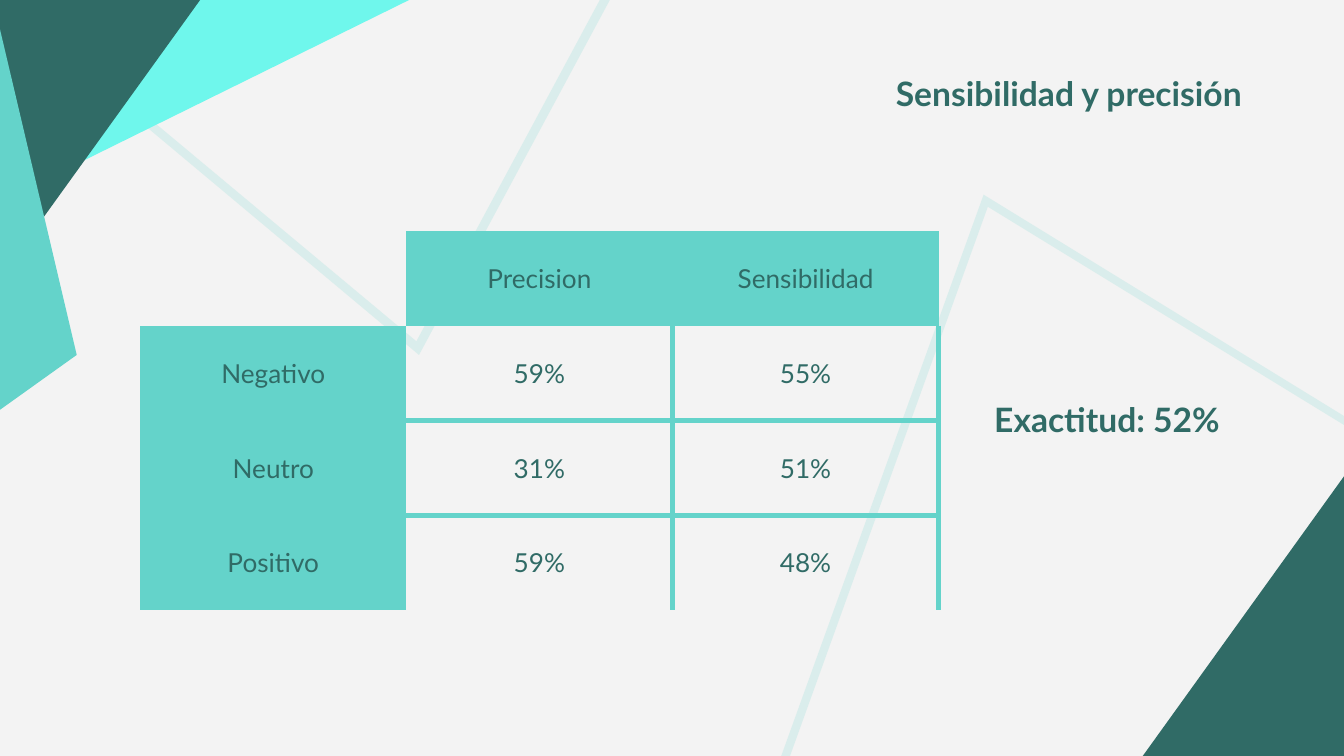
from lxml import etree
from pptx import Presentation
from pptx.dml.color import RGBColor
from pptx.enum.text import MSO_ANCHOR, MSO_AUTO_SIZE, PP_ALIGN
from pptx.oxml.ns import qn
from pptx.util import Cm, Pt

MIDDLE, TOP = MSO_ANCHOR.MIDDLE, MSO_ANCHOR.TOP
LEFT, CENTER, RIGHT = PP_ALIGN.LEFT, PP_ALIGN.CENTER, PP_ALIGN.RIGHT
NO_STYLE = "{2D5ABB26-0587-4C30-8999-92F81FD0307C}"
COLORS = {"bg": "F3F3F3", "teal": "64D3CA", "dark": "306B66", "cyan": "6FF7EC"}


def format_text(tf, size, align, bold=False):
    tf.word_wrap = True
    p = tf.paragraphs[0]
    p.alignment = align
    for r in p.runs:
        r.font.name = "Lato"
        r.font.size = Pt(size)
        r.font.bold = bold
        r.font.color.rgb = RGBColor.from_string(COLORS["dark"])


def add_border(cell, side):
    ln = etree.SubElement(cell._tc.get_or_add_tcPr(), qn("a:ln" + side), w=str(Pt(3)))
    fill = etree.SubElement(ln, qn("a:solidFill"))
    etree.SubElement(fill, qn("a:srgbClr"), val=COLORS["teal"])


prs = Presentation()
prs.slide_width, prs.slide_height = Cm(25.4), Cm(14.29)
s = prs.slides.add_slide(prs.slide_layouts[5])
s.background.fill.solid()
s.background.fill.fore_color.rgb = RGBColor.from_string(COLORS["bg"])

polygons = [
    ("teal", 17, [(26.29, 8.41), (26.21, 8.53), (18.67, 3.91),
                  (13.61, 17.96), (13.46, 17.91), (18.59, 3.68)]),
    ("teal", 17, [(0.99, 0.91), (1.09, 0.79), (7.87, 6.45),
                  (14.94, -6.71), (15.09, -6.63), (7.92, 6.71)]),
    ("cyan", 100, [(-0.15, 3.89), (8.2, -0.23), (-0.15, -0.23)]),
    ("dark", 100, [(-0.15, 5.46), (5.08, -1.8), (-0.15, -1.8)]),
    ("teal", 100, [(-1.88, 9.09), (1.45, 6.71), (-0.15, -0.08), (-1.88, -0.08)]),
    ("dark", 100, [(26.49, 7.49), (21.26, 14.76), (26.49, 14.76)]),
]
for color, opacity, points in polygons:
    points = [(Cm(x), Cm(y)) for x, y in points]
    fb = s.shapes.build_freeform(*points[0])
    fb.add_line_segments(points[1:], close=True)
    sp = fb.convert_to_shape()
    sp.shadow.inherit = False
    sp.line.fill.background()
    sp.fill.solid()
    sp.fill.fore_color.rgb = RGBColor.from_string(COLORS[color])
    if opacity < 100:
        clr = sp._element.spPr.find(qn("a:solidFill")).find(qn("a:srgbClr"))
        etree.SubElement(clr, qn("a:alpha"), val=str(opacity * 1000))

rows = [
    ["", "Precision", "Sensibilidad"],
    ["Negativo", "59%", "55%"],
    ["Neutro", "31%", "51%"],
    ["Positivo", "59%", "48%"],
]
col_width, row_height = 5.03, 1.79
table = s.shapes.add_table(4, 3, Cm(2.65), Cm(4.37),
                           Cm(3 * col_width), Cm(4 * row_height)).table
table.first_row = table.horz_banding = False
table._tbl.tblPr.find(qn("a:tableStyleId")).text = NO_STYLE
for col in table.columns:
    col.width = Cm(col_width)
for i, row in enumerate(rows):
    table.rows[i].height = Cm(row_height)
    for j, text in enumerate(row):
        cell = table.cell(i, j)
        cell.margin_left = cell.margin_right = Cm(0.25)
        cell.margin_top = cell.margin_bottom = Cm(0.25)
        cell.vertical_anchor = MIDDLE
        cell.text_frame.text = text
        format_text(cell.text_frame, 14, CENTER)
        if i and j:
            borders = {"L": j > 1, "R": True, "T": i > 1, "B": i < 3}
            for side, shown in borders.items():
                if shown:
                    add_border(cell, side)
        if (i == 0) != (j == 0):
            cell.fill.solid()
            cell.fill.fore_color.rgb = RGBColor.from_string(COLORS["teal"])
        else:
            cell.fill.background()

title = s.shapes.title
title.left, title.top, title.width, title.height = Cm(1.07), Cm(1.12), Cm(22.65), Cm(1.6)
accuracy = s.shapes.add_textbox(Cm(18.54), Cm(7.29), Cm(5.82), Cm(1.27))
labels = [
    (title, "Sensibilidad y precisión", RIGHT, TOP),
    (accuracy, "Exactitud: 52%", LEFT, MIDDLE),
]
for sp, text, align, anchor in labels:
    tf = sp.text_frame
    tf.text = text
    tf.auto_size = MSO_AUTO_SIZE.NONE
    tf.vertical_anchor = anchor
    tf.margin_left = tf.margin_right = tf.margin_top = tf.margin_bottom = Cm(0.25)
    format_text(tf, 18, align, bold=True)

prs.save("out.pptx")
